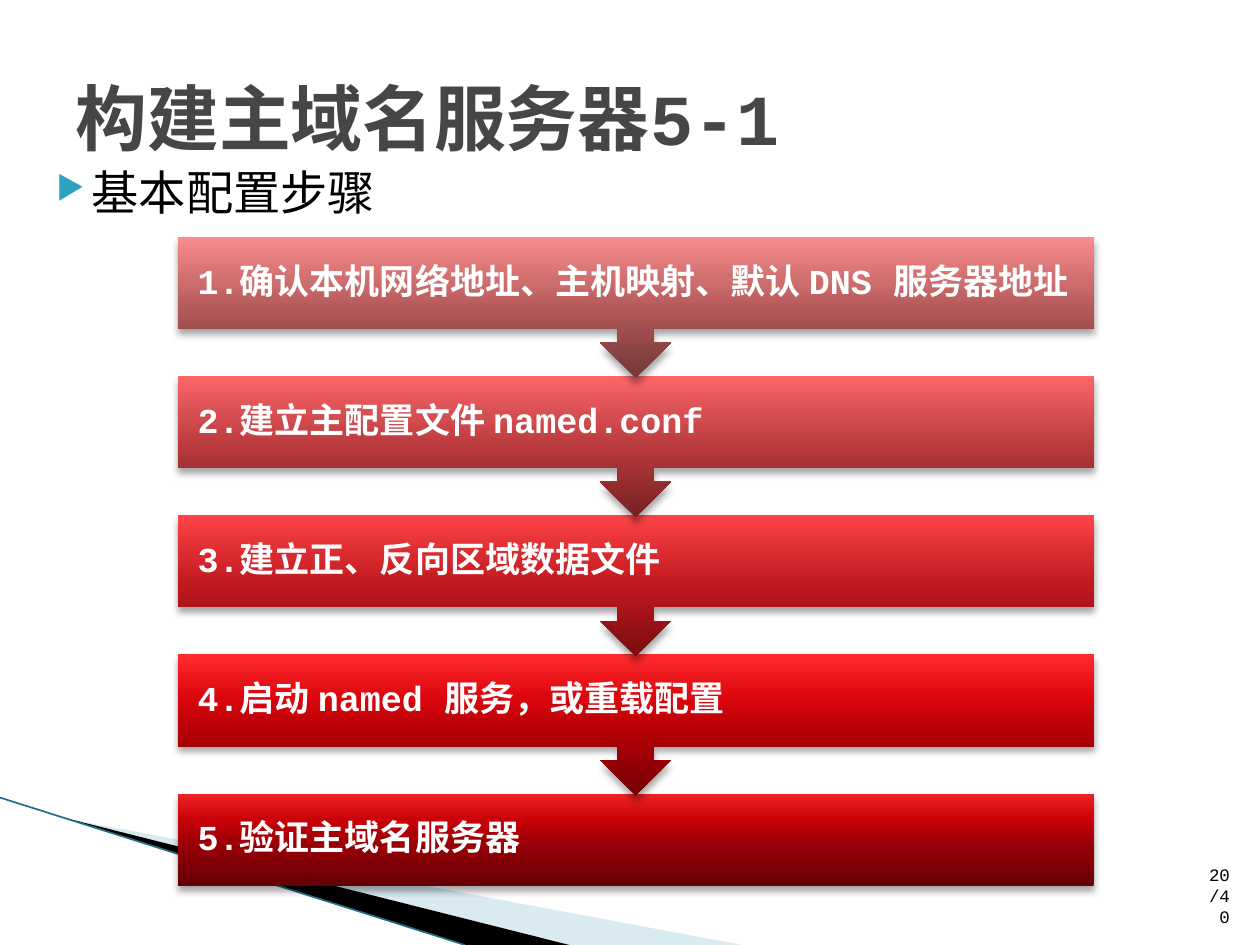
from dataclasses import dataclass

import pptx
import pptx.dml.color
import pptx.enum.shapes
import pptx.enum.text
import pptx.oxml
import pptx.oxml.ns
import pptx.util
from lxml import etree

RGB = pptx.dml.color.RGBColor.from_string
Pt, Inches = pptx.util.Pt, pptx.util.Inches
SHAPE = pptx.enum.shapes.MSO_SHAPE
ANCHOR = pptx.enum.text.MSO_ANCHOR
ALIGN = pptx.enum.text.PP_ALIGN
NS = pptx.oxml.ns.nsdecls("a")
SLIDE_W, SLIDE_H = Inches(10), Inches(7.5)


@dataclass(frozen=True)
class Theme:
    font: str = "Courier New"
    title: str = "464646"
    text: str = "000000"
    on_step: str = "FFFFFF"
    bullet: str = "2DA2BF"
    wedge_light: str = "A0CBDC"
    wedge_dark: str = "000000"
    edge: str = "1F7087"
    title_size: int = 41
    body_size: int = 27
    step_size: int = 20
    number_size: int = 10


@dataclass(frozen=True)
class Box:
    """Left, top, width and height in percent of the slide."""
    x: float
    y: float
    w: float
    h: float

    def emu(self) -> tuple:
        return px(self.x), py(self.y), px(self.w), py(self.h)


@dataclass(frozen=True)
class Step:
    text: str
    colors: tuple  # from bottom to top


THEME = Theme()
STOPS = (0, 50, 70, 100)
TITLE = Box(5, 4, 90, 16.67)
BODY = Box(2.3, 16.67, 93, 74.93)
NUMBER = Box(94.6, 93.47, 4, 5.33)
FIRST_STEP = Box(14.1, 25.07, 72.7, 9.73)
ROW_PITCH, CALLOUT_H = 14.73, 14.93
STEPS = (
    Step("1.确认本机网络地址、主机映射、默认 DNS 服务器地址",
         ("723636", "B5595A", "D06F70", "FB8C8D")),
    Step("2.建立主配置文件 named.conf",
         ("752123", "B9393C", "D34C4F", "FD6669")),
    Step("3.建立正、反向区域数据文件",
         ("7A0C0F", "BF181D", "D7292E", "FF4449")),
    Step("4.启动 named 服务，或重载配置",
         ("740005", "BB0007", "DD070E", "FF2B30")),
    Step("5.验证主域名服务器",
         ("630005", "A00008", "C80007", "ED2226")),
)


def px(share: float) -> int:
    return round(SLIDE_W * share / 100)


def py(share: float) -> int:
    return round(SLIDE_H * share / 100)


def set_attrs(obj, values: dict) -> None:
    for name, value in values.items():
        setattr(obj, name, value)


def write(sp, text: str, size: int, color: str, bold: bool = False,
          frame: dict = {}, para: dict = {}):
    """Fill a shape with one formatted paragraph and return it."""
    tf = sp.text_frame
    set_attrs(tf, {"word_wrap": True, **frame})
    p = tf.paragraphs[0]
    set_attrs(p, para)
    r = p.add_run()
    r.text = text
    set_attrs(r.font, {"name": THEME.font, "size": Pt(size), "bold": bold})
    r.font.color.rgb = RGB(color)
    return p


def add_wedge(slide, points: tuple, color: str, alpha: int = 100) -> None:
    start, *rest = [(px(x), py(y)) for x, y in points]
    builder = slide.shapes.build_freeform(*start)
    builder.add_line_segments(rest, close=True)
    sp = builder.convert_to_shape()
    sp.shadow.inherit = False
    sp.fill.solid()
    sp.fill.fore_color.rgb = RGB(color)
    sp.line.fill.background()
    if alpha < 100:
        clr = sp.fill._xPr.find(".//" + pptx.oxml.ns.qn("a:srgbClr"))
        etree.SubElement(clr, pptx.oxml.ns.qn("a:alpha"), val=str(alpha * 1000))


def add_edge(slide, x1: float, y1: float, x2: float, y2: float) -> None:
    line = slide.shapes.add_connector(
        pptx.enum.shapes.MSO_CONNECTOR.STRAIGHT, px(x1), py(y1), px(x2), py(y2))
    line.line.color.rgb = RGB(THEME.edge)
    line.line.width = Pt(0.95)
    etree.SubElement(line._element.spPr, pptx.oxml.ns.qn("a:effectLst"))


def add_step(slide, row: int, step: Step, last: bool) -> None:
    box = Box(FIRST_STEP.x, FIRST_STEP.y + row * ROW_PITCH, FIRST_STEP.w,
              FIRST_STEP.h if last else CALLOUT_H)
    kind = SHAPE.RECTANGLE if last else SHAPE.DOWN_ARROW_CALLOUT
    sp = slide.shapes.add_shape(kind, *box.emu())
    sp.line.fill.background()
    spPr = sp._element.spPr
    stops = "".join(f'<a:gs pos="{pos * 1000}"><a:srgbClr val="{color}"/></a:gs>'
                    for pos, color in zip(STOPS, step.colors))
    spPr.insert(2, pptx.oxml.parse_xml(
        f'<a:gradFill {NS} rotWithShape="1"><a:gsLst>{stops}</a:gsLst>'
        '<a:lin ang="16200000" scaled="0"/></a:gradFill>'))
    spPr.append(pptx.oxml.parse_xml(
        f'<a:effectLst {NS}><a:outerShdw blurRad="{Pt(4)}" dist="{Pt(3)}" '
        'dir="5400000" rotWithShape="0"><a:srgbClr val="000000">'
        '<a:alpha val="35000"/></a:srgbClr></a:outerShdw></a:effectLst>'))
    insets = {f"margin_{side}": Inches(0.16)
              for side in ("left", "right", "top", "bottom")}
    write(sp, step.text, THEME.step_size, THEME.on_step, True,
          {"vertical_anchor": ANCHOR.MIDDLE, **insets},
          {"alignment": ALIGN.LEFT, "line_spacing": 0.9})


def add_bullet(p) -> None:
    pPr = p._p.get_or_add_pPr()
    pPr.set("marL", str(Inches(0.4)))
    pPr.set("indent", str(Inches(-0.28)))
    for xml in (f'<a:buClr {NS}><a:srgbClr val="{THEME.bullet}"/></a:buClr>',
                f'<a:buSzPct {NS} val="68000"/>',
                f'<a:buChar {NS} char="▶"/>'):
        pPr.append(pptx.oxml.parse_xml(xml))


def main() -> None:
    prs = pptx.Presentation()
    set_attrs(prs, {"slide_width": SLIDE_W, "slide_height": SLIDE_H})
    slide = prs.slides.add_slide(prs.slide_layouts[5])

    # Corner decoration
    add_wedge(slide, ((5.5, 86.7), (58.9, 100), (45.2, 100)),
              THEME.wedge_light, 40)
    add_wedge(slide, ((5.3, 86.6), (45.2, 100), (36.9, 100)), THEME.wedge_dark)
    add_edge(slide, 0, 84.4, 36.9, 100)

    # Title
    title = slide.shapes.title
    set_attrs(title, dict(zip(("left", "top", "width", "height"), TITLE.emu())))
    write(title, "构建主域名服务器5-1", THEME.title_size, THEME.title, True,
          {"vertical_anchor": ANCHOR.MIDDLE}, {"alignment": ALIGN.LEFT})

    # Lead line and page number
    body = slide.shapes.add_textbox(*BODY.emu())
    add_bullet(write(body, "基本配置步骤", THEME.body_size, THEME.text,
                     para={"space_before": Pt(6.8)}))
    number = slide.shapes.add_textbox(*NUMBER.emu())
    write(number, "20/40", THEME.number_size, THEME.text,
          frame={"vertical_anchor": ANCHOR.BOTTOM},
          para={"alignment": ALIGN.RIGHT})

    # Steps, last one at the back so each arrow overlaps the next box
    for row, step in reversed(list(enumerate(STEPS))):
        add_step(slide, row, step, row == len(STEPS) - 1)

    prs.save("out.pptx")


if __name__ == "__main__":
    main()
